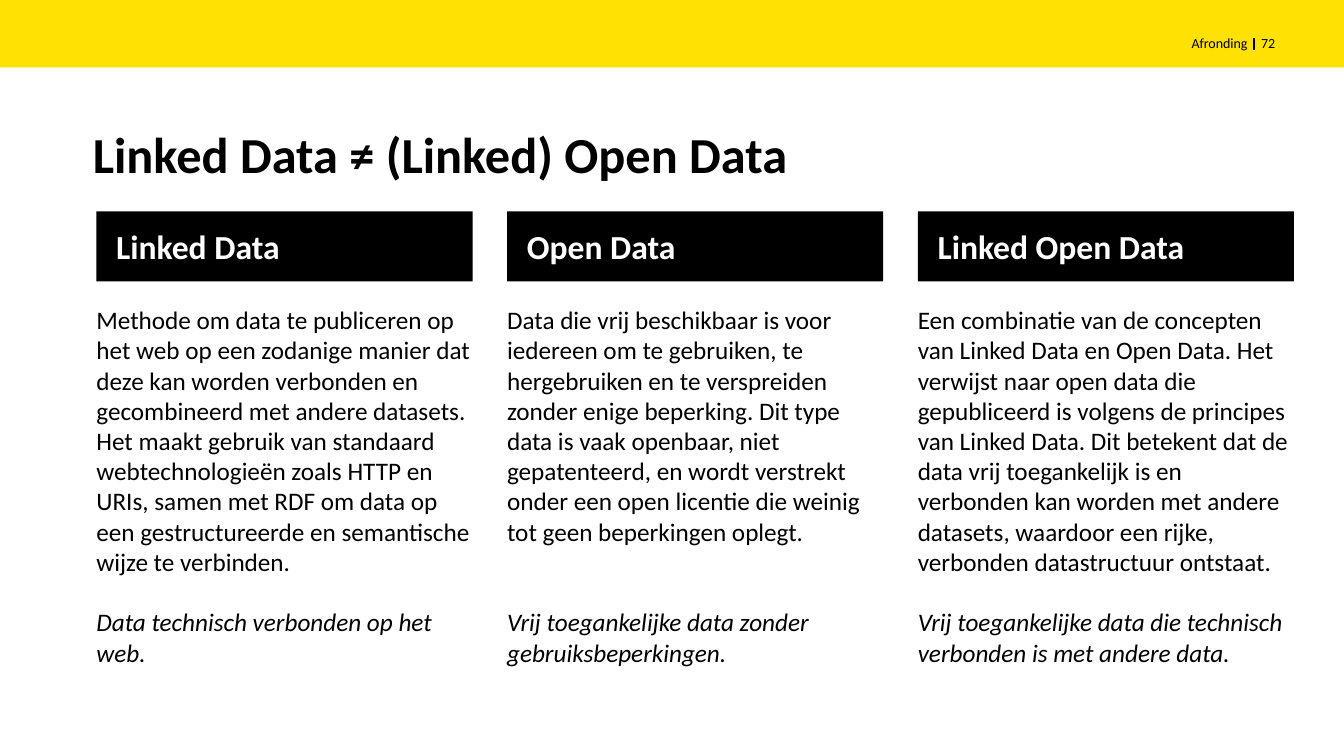
from lxml.etree import SubElement
from pptx import Presentation
from pptx.dml.color import RGBColor
from pptx.enum.shapes import MSO_CONNECTOR, MSO_SHAPE
from pptx.enum.text import MSO_ANCHOR, PP_ALIGN
from pptx.oxml.ns import qn
from pptx.util import Cm, Pt

BLACK, WHITE, YELLOW = "000000", "FFFFFF", "FFE103"
FONT = "Calibri"
SLIDE_WIDTH, SLIDE_HEIGHT = 33.87, 19.05
COLUMN_LEFT, COLUMN_WIDTH, COLUMN_STEP = 2.43, 9.48, 10.35
BODY_LINE = 21.6

# Heading, explanation, summary, and lines of space above the summary
COLUMNS = [
    (
        "Linked Data",
        "Methode om data te publiceren op het web op een zodanige manier dat deze "
        "kan worden verbonden en gecombineerd met andere datasets. Het maakt gebruik "
        "van standaard webtechnologieën zoals HTTP en URIs, samen met RDF om data op "
        "een gestructureerde en semantische wijze te verbinden.",
        "Data technisch verbonden op het web.",
        1,
    ),
    (
        "Open Data",
        "Data die vrij beschikbaar is voor iedereen om te gebruiken, te hergebruiken "
        "en te verspreiden zonder enige beperking. Dit type data is vaak openbaar, "
        "niet gepatenteerd, en wordt verstrekt onder een open licentie die weinig tot "
        "geen beperkingen oplegt.",
        "Vrij toegankelijke data zonder gebruiksbeperkingen.",
        2,
    ),
    (
        "Linked Open Data",
        "Een combinatie van de concepten van Linked Data en Open Data. Het verwijst "
        "naar open data die gepubliceerd is volgens de principes van Linked Data. Dit "
        "betekent dat de data vrij toegankelijk is en verbonden kan worden met andere "
        "datasets, waardoor een rijke, verbonden datastructuur ontstaat.",
        "Vrij toegankelijke data die technisch verbonden is met andere data.",
        1,
    ),
]


def color(value):
    return RGBColor.from_string(value)


def add_run(paragraph, text, size, text_color=BLACK, bold=False, italic=False):
    run = paragraph.add_run()
    run.text = text
    font = run.font
    font.name, font.size = FONT, Pt(size)
    font.bold, font.italic = bold, italic
    font.color.rgb = color(text_color)


def prepare_frame(shape, anchor, side_inset=0):
    """Set wrapping, anchor and insets, and return the first paragraph."""
    frame = shape.text_frame
    frame.word_wrap = True
    frame.vertical_anchor = anchor
    frame.margin_left = frame.margin_right = Cm(side_inset)
    frame.margin_top = frame.margin_bottom = 0
    paragraph = frame.paragraphs[0]
    paragraph.alignment = PP_ALIGN.LEFT
    return paragraph


def add_text_box(slide, left, top, width, height, anchor=MSO_ANCHOR.MIDDLE):
    """Add a text box and return its first paragraph."""
    box = slide.shapes.add_textbox(Cm(left), Cm(top), Cm(width), Cm(height))
    return prepare_frame(box, anchor)


def add_bar(slide, left, top, width, height, fill):
    shape = slide.shapes.add_shape(
        MSO_SHAPE.RECTANGLE, Cm(left), Cm(top), Cm(width), Cm(height)
    )
    shape.shadow.inherit = False
    shape.fill.solid()
    shape.fill.fore_color.rgb = color(fill)
    shape.line.fill.background()
    return shape


def add_divider(slide, x, top, bottom):
    line = slide.shapes.add_connector(
        MSO_CONNECTOR.STRAIGHT, Cm(x), Cm(top), Cm(x), Cm(bottom)
    )
    line.line.color.rgb = color(BLACK)
    line.line.width = Pt(1)
    SubElement(line._element.spPr, qn("a:effectLst"))


def add_header(slide):
    add_bar(slide, 0, 0, SLIDE_WIDTH, 1.7, YELLOW)
    add_divider(slide, 31.6, 0.97, 1.27)
    section = add_text_box(slide, 16.94, 0.66, 14.5, 0.86)
    section.alignment = PP_ALIGN.RIGHT
    add_run(section, "Afronding", 10)
    add_run(add_text_box(slide, 31.78, 0.66, 1.47, 0.86), "72", 10)


def add_title(slide, text):
    paragraph = add_text_box(slide, 2.34, 3.02, 30.18, 1.88)
    paragraph.line_spacing = 0.9
    add_run(paragraph, text, 36, bold=True)


def add_column(slide, left, heading, explanation, summary, gap_lines):
    bar = add_bar(slide, left, 5.33, COLUMN_WIDTH, 1.76, BLACK)
    add_run(prepare_frame(bar, MSO_ANCHOR.MIDDLE, 0.5), heading, 24, WHITE, bold=True)

    body = add_text_box(slide, left, 7.67, COLUMN_WIDTH, 10, MSO_ANCHOR.TOP)
    add_run(body, explanation, 18)
    closing = slide.shapes[-1].text_frame.add_paragraph()
    closing.space_before = Pt(gap_lines * BODY_LINE)
    add_run(closing, summary, 18, italic=True)


def main():
    presentation = Presentation()
    presentation.slide_width = Cm(SLIDE_WIDTH)
    presentation.slide_height = Cm(SLIDE_HEIGHT)
    slide = presentation.slides.add_slide(presentation.slide_layouts[6])

    add_header(slide)
    add_title(slide, "Linked Data ≠ (Linked) Open Data")
    for index, column in enumerate(COLUMNS):
        add_column(slide, COLUMN_LEFT + index * COLUMN_STEP, *column)

    presentation.save("out.pptx")


if __name__ == "__main__":
    main()
